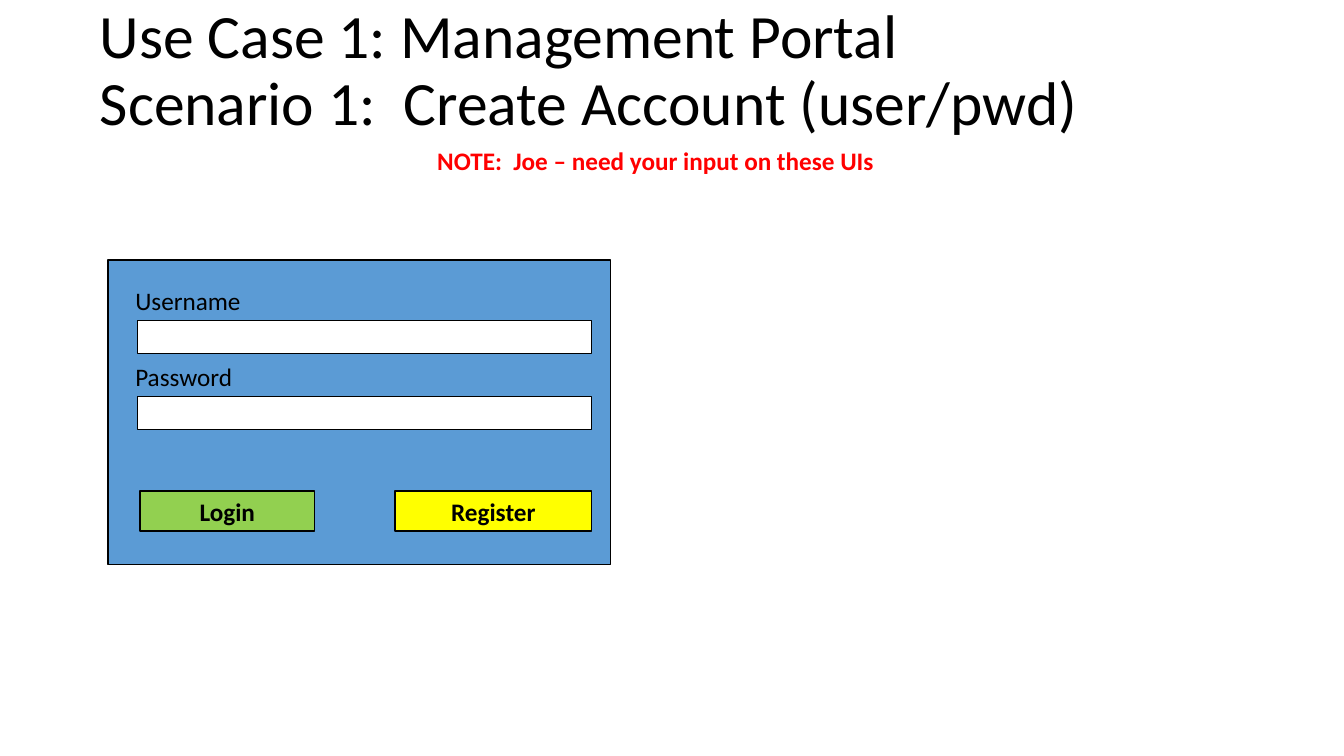
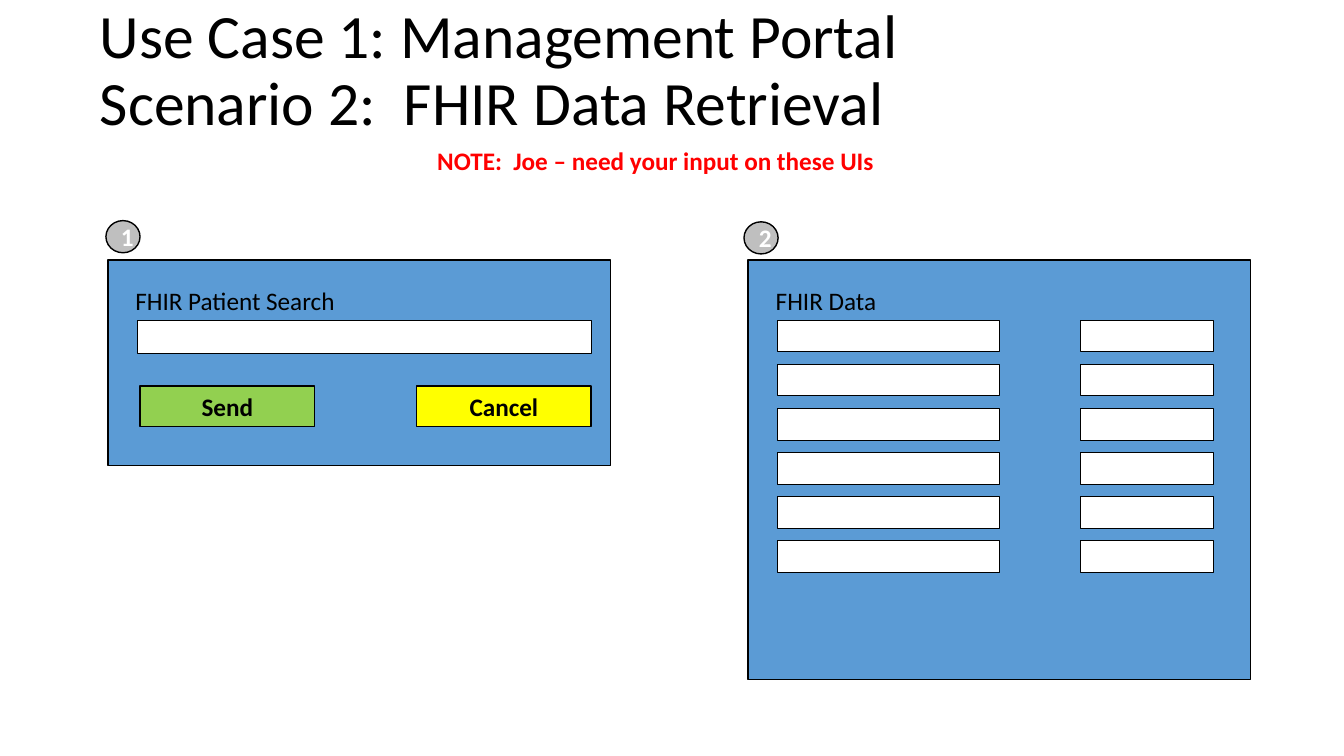
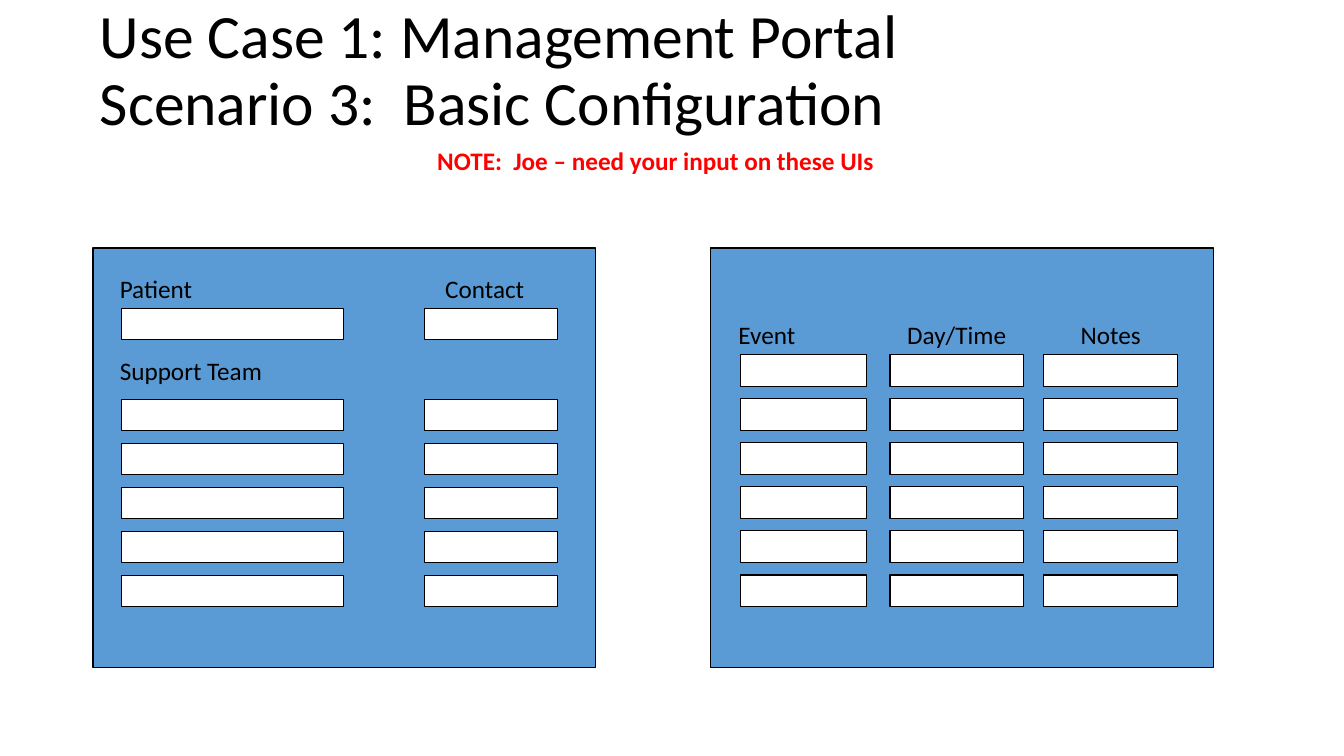
from pptx import Presentation
from pptx import util as u
from pptx.dml.color import RGBColor
from pptx.enum import shapes, text


def colour(value):
    return RGBColor.from_string(value)


class Mockup:
    """Holds the wireframe style and draws elements, in centimetres, on the current slide."""

    FONT = "Calibri"
    BLACK, WHITE, RED = "000000", "FFFFFF", "FF0000"
    BLUE, GREEN, YELLOW, GREY = "5B9BD5", "92D050", "FFFF00", "BFBFBF"
    PANEL_WIDTH = 12.67
    LABEL_INDENT, FIELD_INDENT = 0.44, 0.74
    LABEL_HEIGHT = 1.02
    ROW_HEIGHT, ROW_PITCH = 0.79, 1.11

    def __init__(self):
        self.presentation = Presentation()
        self.presentation.slide_width = u.Cm(33.87)
        self.presentation.slide_height = u.Cm(19.05)
        self.slide = None

    def style_text(self, frame, words, size=18, ink=BLACK, bold=False, align=text.PP_ALIGN.LEFT):
        frame.text = words
        for paragraph in frame.paragraphs:
            paragraph.alignment = align
            for run in paragraph.runs:
                run.font.name = self.FONT
                run.font.size = u.Pt(size)
                run.font.bold = bold
                run.font.color.rgb = colour(ink)

    def new_slide(self, scenario):
        layout = self.presentation.slide_layouts[5]
        self.slide = self.presentation.slides.add_slide(layout)
        title = self.slide.shapes.title
        title.left, title.top = u.Cm(2.26), u.Cm(-0.03)
        title.width, title.height = u.Cm(30.53), u.Cm(3.68)
        frame = title.text_frame
        frame.vertical_anchor = text.MSO_ANCHOR.MIDDLE
        frame.auto_size = text.MSO_AUTO_SIZE.NONE
        self.style_text(frame, f"Use Case 1: Management Portal\v{scenario}", size=44)
        frame.paragraphs[0].line_spacing = 0.9
        self.label("NOTE:  Joe – need your input on these UIs", 10.77, 3.53, 12.75,
                   ink=self.RED, bold=True)

    def label(self, words, left, top, width, **style):
        box = self.slide.shapes.add_textbox(
            u.Cm(left), u.Cm(top), u.Cm(width), u.Cm(self.LABEL_HEIGHT))
        box.text_frame.word_wrap = True
        box.text_frame.auto_size = text.MSO_AUTO_SIZE.SHAPE_TO_FIT_TEXT
        self.style_text(box.text_frame, words, **style)

    def block(self, left, top, width, height, fill, line=0.75, kind=shapes.MSO_SHAPE.RECTANGLE):
        shape = self.slide.shapes.add_shape(
            kind, u.Cm(left), u.Cm(top), u.Cm(width), u.Cm(height))
        shape.shadow.inherit = False
        shape.fill.solid()
        shape.fill.fore_color.rgb = colour(fill)
        shape.line.color.rgb = colour(self.BLACK)
        shape.line.width = u.Pt(line)
        return shape

    def panel(self, left, top, height):
        self.block(left, top, self.PANEL_WIDTH, height, self.BLUE, line=1)

    def entry(self, words, left, top):
        self.label(words, left + self.LABEL_INDENT, top, 7.92)
        self.block(left + self.FIELD_INDENT, top + self.LABEL_HEIGHT, 11.46, 0.84, self.WHITE)

    def button(self, words, left, top, width, fill):
        shape = self.block(left, top, width, self.LABEL_HEIGHT, fill, line=1.25)
        shape.text_frame.vertical_anchor = text.MSO_ANCHOR.TOP
        shape.text_frame.auto_size = text.MSO_AUTO_SIZE.SHAPE_TO_FIT_TEXT
        self.style_text(shape.text_frame, words, bold=True, align=text.PP_ALIGN.CENTER)

    def column(self, left, top, width, rows):
        for row in range(rows):
            self.block(left, top + row * self.ROW_PITCH, width, self.ROW_HEIGHT, self.WHITE)

    def badge(self, number, left, top):
        shape = self.block(left, top, 0.86, 0.81, self.GREY, line=1, kind=shapes.MSO_SHAPE.OVAL)
        shape.text_frame.vertical_anchor = text.MSO_ANCHOR.MIDDLE
        self.style_text(shape.text_frame, number, ink=self.WHITE, bold=True,
                        align=text.PP_ALIGN.CENTER)


def create_account(mockup):
    mockup.new_slide("Scenario 1:  Create Account (user/pwd)")
    mockup.panel(2.72, 6.55, 7.67)
    mockup.entry("Username", 2.72, 7.06)
    mockup.entry("Password", 2.72, 8.97)
    mockup.button("Login", 3.53, 12.37, 4.4, mockup.GREEN)
    mockup.button("Register", 9.96, 12.37, 4.95, mockup.YELLOW)


def data_retrieval(mockup):
    mockup.new_slide("Scenario 2:  FHIR Data Retrieval")
    mockup.panel(2.72, 6.55, 5.18)
    mockup.entry("FHIR Patient Search", 2.72, 7.06)
    mockup.button("Send", 3.53, 9.73, 4.4, mockup.GREEN)
    mockup.button("Cancel", 10.5, 9.73, 4.4, mockup.YELLOW)
    mockup.panel(18.85, 6.55, 10.57)
    mockup.label("FHIR Data", 19.3, 7.06, 4.93)
    for left, width in ((19.6, 5.6), (27.22, 3.36)):
        mockup.column(left, 8.08, width, 6)
    mockup.badge("1", 2.67, 5.56)
    mockup.badge("2", 18.75, 5.59)


def basic_configuration(mockup):
    mockup.new_slide("Scenario 3:  Basic Configuration")
    mockup.panel(2.34, 6.25, 10.57)
    mockup.panel(17.91, 6.25, 10.57)
    mockup.label("Patient", 2.77, 6.76, 4.93)
    mockup.label("Contact", 10.97, 6.76, 3.2)
    mockup.label("Support Team", 2.77, 8.84, 4.93)
    for left, width in ((3.07, 5.6), (10.69, 3.36)):
        mockup.column(left, 7.77, width, 1)
        mockup.column(left, 10.06, width, 5)
    mockup.label("Event", 18.36, 7.92, 4.93)
    mockup.column(18.67, 8.94, 3.18, 6)
    for heading, left in (("Day/Time", 22.43), ("Notes", 26.31)):
        mockup.label(heading, left, 7.92, 3.36, align=text.PP_ALIGN.CENTER)
        mockup.column(left, 8.94, 3.36, 6)


def main():
    mockup = Mockup()
    create_account(mockup)
    data_retrieval(mockup)
    basic_configuration(mockup)
    mockup.presentation.save("out.pptx")


if __name__ == "__main__":
    main()
